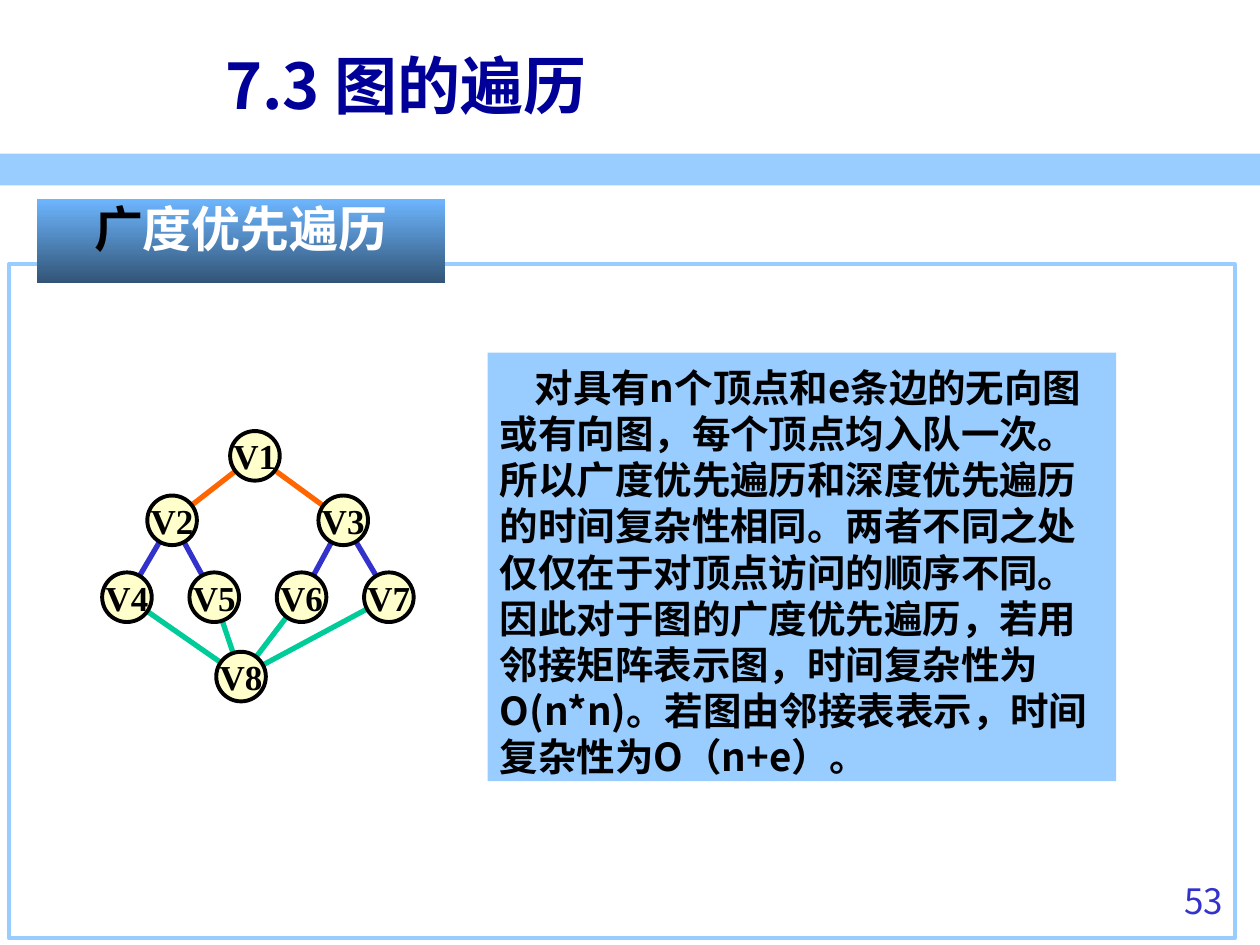
from lxml import etree
from pptx import Presentation
from pptx import util as u
from pptx.dml.color import RGBColor
from pptx.enum import shapes, text
from pptx.oxml.ns import qn

CJK = "Noto Sans CJK SC"
SKY = "99CCFF"


def color(hex_value):
    return RGBColor.from_string(hex_value)


def write(shape, *runs, size, font=CJK, bold=True, align=text.PP_ALIGN.LEFT,
          anchor=text.MSO_ANCHOR.TOP, wrap=True, top=0.13, side=0.25,
          indent=0, spacing=None):
    """Fill a shape with one paragraph; each run is (words, hex colour)."""
    frame = shape.text_frame
    frame.word_wrap = wrap
    frame.auto_size = text.MSO_AUTO_SIZE.NONE
    frame.vertical_anchor = anchor
    frame.margin_left = frame.margin_right = u.Cm(side)
    frame.margin_top, frame.margin_bottom = u.Cm(top), u.Cm(0.13)
    paragraph = frame.paragraphs[0]
    paragraph.alignment = align
    paragraph.space_before = u.Pt(0)
    if spacing:
        paragraph.line_spacing = u.Pt(spacing)
    if indent:
        paragraph._p.get_or_add_pPr().set("indent", str(u.Cm(indent)))
    for words, hex_value in runs:
        run = paragraph.add_run()
        run.text = words
        run.font.size, run.font.bold, run.font.name = u.Pt(size), bold, font
        run.font.color.rgb = color(hex_value)
        etree.SubElement(run._r.get_or_add_rPr(), qn("a:ea")).set("typeface", font)


prs = Presentation()
prs.slide_width, prs.slide_height = u.Cm(25.4), u.Cm(19.05)
slide = prs.slides.add_slide(prs.slide_layouts[5])
parts = slide.shapes
RECT = shapes.MSO_SHAPE.RECTANGLE

# Title and the band below it
title = parts.title
title.left, title.top, title.width, title.height = map(u.Cm, (4.29, 0.53, 20.8, 2.34))
write(title, ("7.3 图的遍历", "000099"), size=36, anchor=text.MSO_ANCHOR.MIDDLE)

band = parts.add_shape(RECT, 0, u.Cm(3.1), prs.slide_width, u.Cm(0.64))
band.shadow.inherit = False
band.fill.solid()
band.fill.fore_color.rgb = color(SKY)
band.line.fill.background()

# Page number
page = parts.add_textbox(*map(u.Cm, (22.5, 17.73, 2.41, 1.32)))
write(page, ("53", "3333CC"), size=20, font="Noto Sans CJK KR", bold=False,
      align=text.PP_ALIGN.RIGHT, top=0)

# Graph: vertex centres in cm, edges coloured by level
leaf_y, leaf_left, leaf_step = 12.04, 2.56, 1.76
centres = {"V1": (5.14, 9.19), "V2": (3.47, 10.49), "V3": (6.92, 10.49)}
for i in range(4):
    centres[f"V{i + 4}"] = (leaf_left + i * leaf_step, leaf_y)
centres["V8"] = (4.86, 13.64)

levels = [
    ("FF6600", ["V1 V2", "V1 V3"]),
    ("3333CC", ["V2 V4", "V2 V5", "V3 V6", "V3 V7"]),
    ("00CC99", ["V4 V8", "V5 V8", "V6 V8", "V7 V8"]),
]
for edge_color, pairs in levels:
    for pair in pairs:
        start, end = pair.split()
        edge = parts.add_connector(shapes.MSO_CONNECTOR.STRAIGHT,
                                   *map(u.Cm, centres[start] + centres[end]))
        edge.line.color.rgb = color(edge_color)
        edge.line.width = u.Pt(3)
        etree.SubElement(edge._element.spPr, qn("a:effectLst"))

diameter = 1.0
for name, (x, y) in centres.items():
    vertex = parts.add_shape(shapes.MSO_SHAPE.OVAL, u.Cm(x - diameter / 2),
                             u.Cm(y - diameter / 2), u.Cm(diameter), u.Cm(diameter))
    vertex.shadow.inherit = False
    vertex.fill.solid()
    vertex.fill.fore_color.rgb = color("FFFFCC")
    vertex.line.color.rgb = color("000000")
    vertex.line.width = u.Pt(2.25)
    write(vertex, (name, "000000"), size=20, font="Times New Roman",
          align=text.PP_ALIGN.CENTER, anchor=text.MSO_ANCHOR.MIDDLE, wrap=False)

# Complexity explanation
explanation = parts.add_textbox(*map(u.Cm, (9.83, 7.11, 12.67, 8.64)))
explanation.fill.solid()
explanation.fill.fore_color.rgb = color(SKY)
write(explanation,
      ("对具有n个顶点和e条边的无向图或有向图，每个顶点均入队一次。"
       "所以广度优先遍历和深度优先遍历的时间复杂性相同。"
       "两者不同之处仅仅在于对顶点访问的顺序不同。"
       "因此对于图的广度优先遍历，若用邻接矩阵表示图，时间复杂性为O(n*n)。"
       "若图由邻接表表示，时间复杂性为O（n+e）。", "000000"),
      size=22, top=0.23, indent=0.7, spacing=26.35)

# Content border
border = parts.add_shape(RECT, *map(u.Cm, (0.18, 5.33, 24.71, 13.59)))
border.shadow.inherit = False
border.fill.background()
border.line.color.rgb = color(SKY)
border.line.width = u.Pt(2.25)

# Section heading
heading = parts.add_shape(RECT, *map(u.Cm, (0.74, 4.01, 8.23, 1.7)))
heading.shadow.inherit = False
heading.line.fill.background()
heading.fill.gradient()
heading.fill.gradient_angle = 270
for stop, position, shade in zip(heading.fill.gradient_stops, (0, 1), ("6DB6FF", "325476")):
    stop.position = position
    stop.color.rgb = color(shade)
write(heading, ("广", "000000"), ("度优先遍历", "FFFFFF"), size=28,
      align=text.PP_ALIGN.CENTER, top=0)

prs.save("out.pptx")
